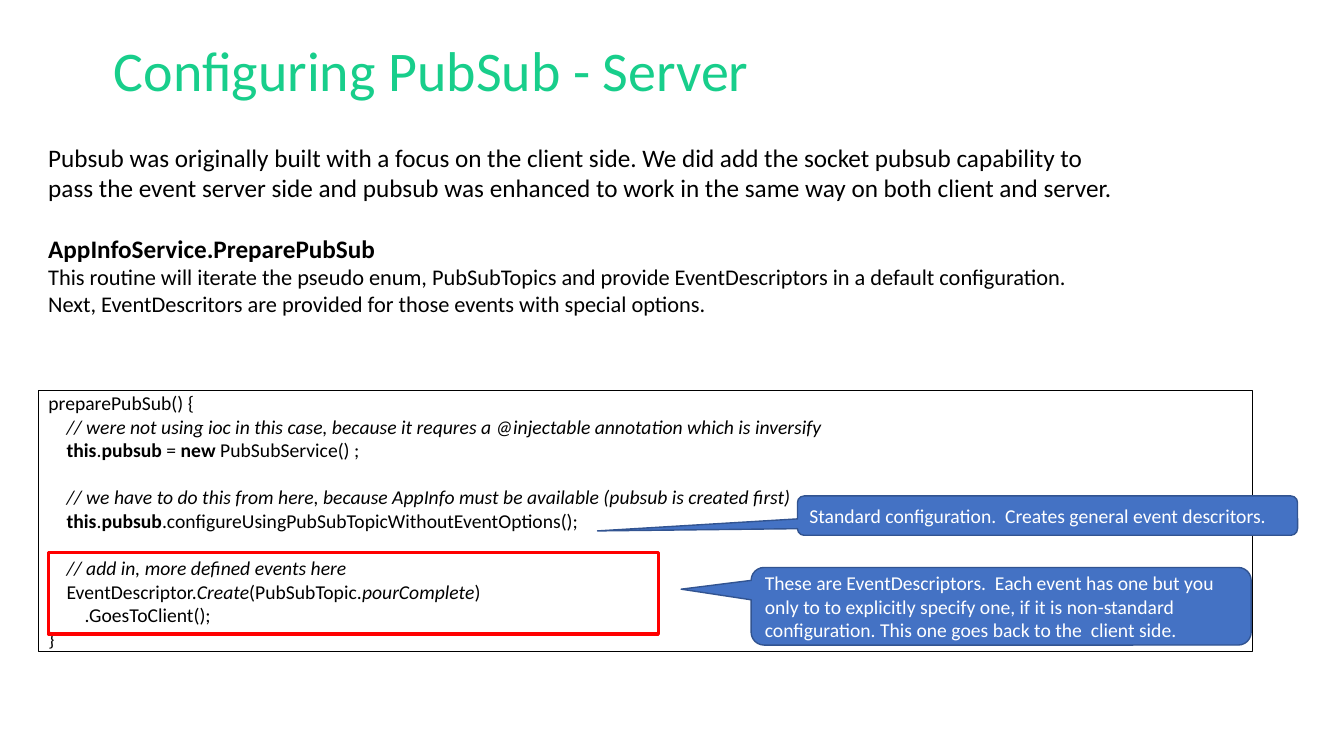
from dataclasses import dataclass

from lxml import etree
from pptx import Presentation
from pptx.dml.color import RGBColor
from pptx.enum.shapes import MSO_SHAPE
from pptx.enum.text import MSO_ANCHOR, MSO_AUTO_SIZE, PP_ALIGN
from pptx.oxml.ns import qn
from pptx.util import Pt

RECT = MSO_SHAPE.RECTANGLE
CALLOUT = MSO_SHAPE.ROUNDED_RECTANGULAR_CALLOUT
TOP, MIDDLE = MSO_ANCHOR.TOP, MSO_ANCHOR.MIDDLE
LEFT = PP_ALIGN.LEFT
FIXED, FIT = MSO_AUTO_SIZE.NONE, MSO_AUTO_SIZE.SHAPE_TO_FIT_TEXT
PX = 9144
STEP = 18


@dataclass(frozen=True)
class Theme:
    font: str = "Calibri"
    green: str = "18CE8B"
    black: str = "000000"
    white: str = "FFFFFF"
    blue: str = "4472C4"
    navy: str = "325491"
    red: str = "FF0000"
    title: int = 40
    lead: int = 18
    text: int = 16
    code: int = 14


class Deck:
    def __init__(self, theme):
        self.theme = theme
        self.file = Presentation()
        self.file.slide_width = 1333 * PX
        self.file.slide_height = 750 * PX
        self.slide = self.file.slides.add_slide(self.file.slide_layouts[1])

    def place(self, shape, box):
        shape.left, shape.top, shape.width, shape.height = (n * PX for n in box)

    def paint(self, shape, fill, line, width):
        if fill:
            shape.fill.solid()
            shape.fill.fore_color.rgb = RGBColor.from_string(fill)
        else:
            shape.fill.background()
        shape.line.color.rgb = RGBColor.from_string(line)
        shape.line.width = Pt(width)

    def fill_text(self, shape, paras, color, anchor, fit=FIXED):
        frame = shape.text_frame
        frame.word_wrap = True
        frame.vertical_anchor = anchor
        frame.auto_size = fit
        for n, (size, level, gap, runs) in enumerate(paras):
            para = frame.add_paragraph() if n else frame.paragraphs[0]
            para.alignment = LEFT
            para.space_before = Pt(gap)
            props = para._p.get_or_add_pPr()
            props.set("marL", str(level * STEP * PX))
            props.set("indent", "0")
            etree.SubElement(props, qn("a:buNone"))
            for words, mark in runs:
                run = para.add_run()
                run.text = words
                font = run.font
                font.name = self.theme.font
                font.size = Pt(size)
                font.bold = mark == "b"
                font.italic = mark == "i"
                font.color.rgb = RGBColor.from_string(color)

    def title(self, box, words):
        shape = self.slide.shapes.title
        self.place(shape, box)
        para = (self.theme.title, 0, 0, [(words, "")])
        self.fill_text(shape, [para], self.theme.green, TOP, FIT)

    def code(self, box, lines):
        shape = self.slide.placeholders[1]
        self.place(shape, box)
        self.paint(shape, self.theme.white, self.theme.black, 0.75)
        shape.text_frame.margin_top = shape.text_frame.margin_bottom = 0
        paras = [(self.theme.code, *line) for line in lines]
        self.fill_text(shape, paras, self.theme.black, MIDDLE, FIT)

    def text(self, box, paras):
        shape = self.slide.shapes.add_textbox(*(n * PX for n in box))
        self.fill_text(shape, paras, self.theme.black, TOP, FIT)

    def shape(self, kind, box, fill, line, width):
        shape = self.slide.shapes.add_shape(kind, *(n * PX for n in box))
        shape.shadow.inherit = False
        self.paint(shape, fill, line, width)
        return shape

    def frame(self, box):
        self.shape(RECT, box, None, self.theme.red, 2.25)

    def note(self, box, tip, words):
        shape = self.shape(CALLOUT, box, self.theme.blue, self.theme.navy, 1)
        shape.adjustments[0], shape.adjustments[1] = tip
        para = (self.theme.code, 0, 0, [(words, "")])
        self.fill_text(shape, [para], self.theme.white, MIDDLE)


def main():
    theme = Theme()
    deck = Deck(theme)
    deck.title((103, 30, 676, 77), "Configuring PubSub - Server")
    deck.code((38, 382, 1204, 269), [
        (0, 0, [("preparePubSub() {", "")]),
        (1, 0, [("// were not using ioc in this case, because it requres a "
                 "@injectable annotation which is inversify", "i")]),
        (1, 0, [("this", "b"), (".", ""), ("pubsub ", "b"), ("= ", ""),
                ("new ", "b"), ("PubSubService() ;", "")]),
        (1, 17, [("// we have to do this from here, because AppInfo must be "
                  "available (pubsub is created first)", "i")]),
        (1, 0, [("this", "b"), (".", ""), ("pubsub", "b"),
                (".configureUsingPubSubTopicWithoutEventOptions();", "")]),
        (1, 17, [("// add in, more defined events here", "i")]),
        (1, 0, [("EventDescriptor.", ""), ("Create", "i"),
                ("(PubSubTopic.", ""), ("pourComplete", "i"), (")", "")]),
        (2, 0, [(".GoesToClient();", "")]),
        (0, 0, [("}", "")]),
    ])
    deck.text((38, 136, 1079, 185), [
        (theme.lead, 0, 0, [(
            "Pubsub was originally built with a focus on the client side. "
            "We did add the socket pubsub capability to pass the event server "
            "side and pubsub was enhanced to work in the same way on both "
            "client and server.", "")]),
        (theme.lead, 0, 22, [("AppInfoService.PreparePubSub", "b")]),
        (theme.text, 0, 0, [(
            "This routine will iterate the pseudo enum, PubSubTopics and "
            "provide EventDescriptors in a default configuration.", "")]),
        (theme.text, 0, 0, [(
            "Next, EventDescritors are provided for those events with "
            "special options.", "")]),
    ])
    deck.note((791, 492, 496, 39), (-0.9, 0.39),
              "Standard configuration.  Creates general event descritors.")
    deck.frame((48, 548, 605, 81))
    deck.note((745, 563, 496, 77), (-0.64, -0.22),
              "These are EventDescriptors.  Each event has one but you only to "
              "to explicitly specify one, if it is non-standard configuration. "
              "This one goes back to the  client side.")
    deck.file.save("out.pptx")


if __name__ == "__main__":
    main()
